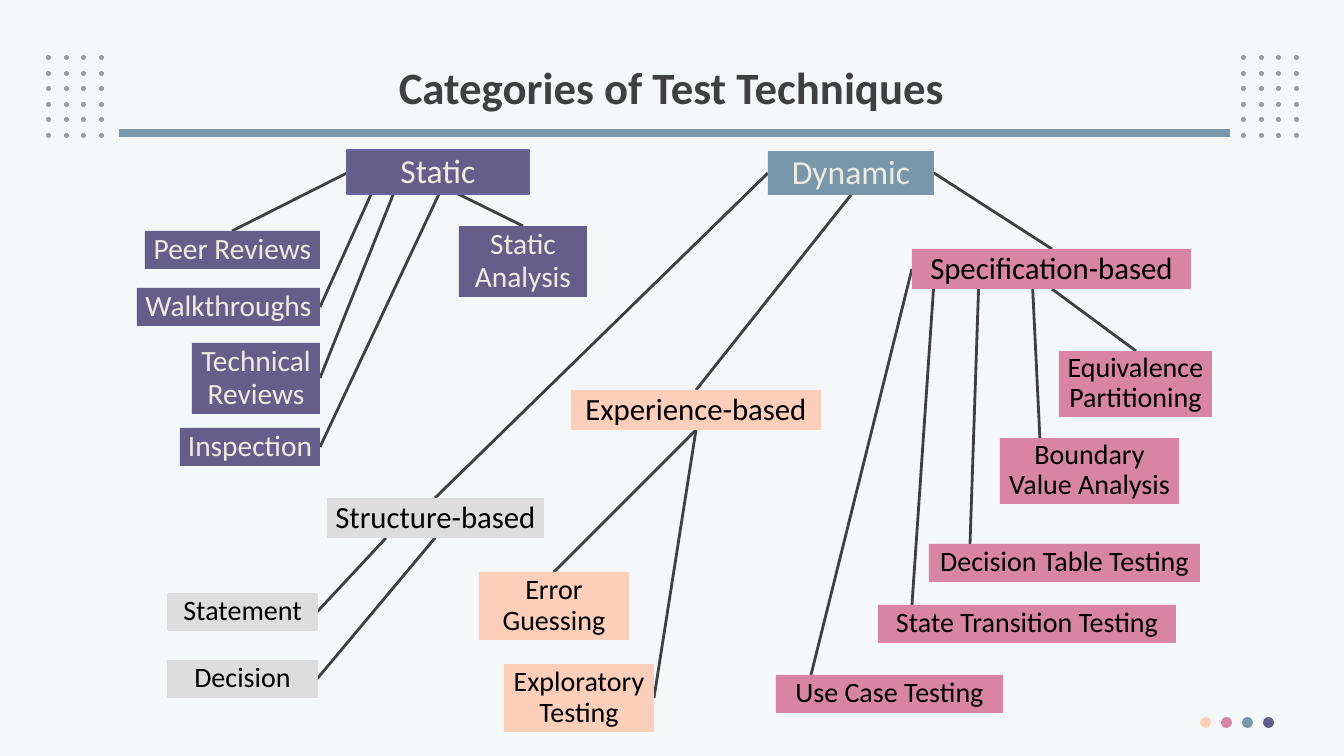
from dataclasses import dataclass

from lxml.etree import SubElement
from pptx import Presentation
from pptx.dml.color import RGBColor
from pptx.enum.shapes import MSO_CONNECTOR, MSO_SHAPE
from pptx.enum.text import MSO_ANCHOR, PP_ALIGN
from pptx.oxml.ns import qn
from pptx.util import Pt

SLIDE_W, SLIDE_H = 1344, 756
SCALE = 12192000 / SLIDE_W  # EMU per px


@dataclass(frozen=True)
class Theme:
    font: str = "Calibri"
    background: str = "F5F8F9"
    dark: str = "404040"
    dot: str = "9D9D9D"
    black: str = "000000"
    cream: str = "EEECE1"
    purple: str = "655D8A"
    purple_edge: str = "666699"
    blue: str = "7897AB"
    pink: str = "D885A3"
    peach: str = "FDCEB9"
    grey: str = "DDDDDD"
    title: int = 32
    root: int = 24
    branch: int = 22
    static_leaf: int = 21
    leaf: int = 20
    line: float = 2
    rule: float = 5.25


T = Theme()

ROOT = dict(size=T.root, color=T.cream, spacing=0.94)
BRANCH = dict(size=T.branch, spacing=0.94)
STATIC_LEAF = dict(fill=T.purple, size=T.static_leaf, color=T.cream, spacing=0.92)
STRUCTURE_LEAF = dict(fill=T.grey, edge=T.grey, size=T.leaf, spacing=0.88)
EXPERIENCE_LEAF = dict(fill=T.peach, size=T.leaf, spacing=0.92)
SPEC_PAIR = dict(fill=T.pink, size=T.leaf, spacing=0.88)
SPEC_LEAF = dict(SPEC_PAIR, inset=4)

# text, (left, top, width, height), format
BOXES = [
    ("Static", (347, 150, 182, 44), dict(ROOT, fill=T.purple, edge=T.purple_edge)),
    ("Peer Reviews", (145, 231, 175, 38), STATIC_LEAF),
    ("Walkthroughs", (137, 288, 183, 38), STATIC_LEAF),
    ("Technical Reviews", (192, 343, 128, 71), dict(STATIC_LEAF, wrap=True)),
    ("Inspection", (180, 428, 140, 38), STATIC_LEAF),
    ("Static Analysis", (459, 226, 128, 71), dict(STATIC_LEAF, wrap=True)),
    ("Dynamic", (768, 151, 166, 44), dict(ROOT, fill=T.blue)),
    ("Structure-based", (327, 498, 217, 40), dict(BRANCH, fill=T.grey)),
    ("Statement", (168, 594, 149, 36), STRUCTURE_LEAF),
    ("Decision", (168, 661, 149, 36), STRUCTURE_LEAF),
    ("Experience-based", (571, 390, 250, 40), dict(BRANCH, fill=T.peach, spacing=0.92)),
    ("Error Guessing", (479, 572, 150, 68), dict(EXPERIENCE_LEAF, wrap=True)),
    ("Exploratory Testing", (504, 664, 150, 68), dict(EXPERIENCE_LEAF, wrap=True)),
    ("Specification-based", (912, 249, 279, 40), dict(BRANCH, fill=T.pink)),
    ("Equivalence\nPartitioning", (1059, 351, 153, 66), SPEC_PAIR),
    ("Boundary\nValue Analysis", (1000, 438, 179, 66), SPEC_PAIR),
    ("Decision Table Testing", (929, 544, 271, 38), SPEC_LEAF),
    ("State Transition Testing", (878, 605, 298, 38), SPEC_LEAF),
    ("Use Case Testing", (776, 675, 227, 38), SPEC_LEAF),
]

# parent end, child end
BRANCHES = [
    # Static
    ((347, 173), (232, 231)),
    ((373, 190), (320, 307)),
    ((395, 190), (320, 378)),
    ((439, 194), (320, 447)),
    ((452, 191), (523, 226)),
    # Dynamic
    ((768, 173), (435, 498)),
    ((851, 195), (696, 390)),
    ((934, 173), (1052, 249)),
    # Structure-based
    ((386, 538), (317, 612)),
    ((435, 538), (317, 679)),
    # Experience-based
    ((696, 430), (554, 572)),
    ((696, 430), (654, 698)),
    # Specification-based
    ((1052, 289), (1136, 351)),
    ((1032, 274), (1040, 440)),
    ((979, 276), (970, 545)),
    ((934, 282), (912, 605)),
    ((912, 269), (810, 679)),
]


def px(n):
    return round(n * SCALE)


def rgb(color):
    return RGBColor.from_string(color)


def add_text(tf, text, size, color=T.black, bold=False, spacing=0.9, wrap=False):
    """Fill a frame with centred text, one paragraph to each line."""
    tf.word_wrap = wrap
    for i, line in enumerate(text.split("\n")):
        p = tf.add_paragraph() if i else tf.paragraphs[0]
        p.alignment = PP_ALIGN.CENTER
        p.line_spacing = spacing
        r = p.add_run()
        r.text = line
        r.font.name, r.font.size, r.font.bold = T.font, Pt(size), bold
        r.font.color.rgb = rgb(color)


def add_shape(shapes, kind, box, fill, edge=None):
    sp = shapes.add_shape(kind, *map(px, box))
    sp.shadow.inherit = False
    sp.fill.solid()
    sp.fill.fore_color.rgb = rgb(fill)
    if edge:
        sp.line.color.rgb = rgb(edge)
        sp.line.width = Pt(T.line)
    else:
        sp.line.fill.background()
    return sp


def add_box(s, text, box, fill, edge=None, inset=3, **text_format):
    tf = add_shape(s.shapes, MSO_SHAPE.RECTANGLE, box, fill, edge).text_frame
    tf.margin_left = tf.margin_right = px(7)
    tf.margin_top = tf.margin_bottom = px(inset)
    tf.vertical_anchor = MSO_ANCHOR.TOP
    add_text(tf, text, **text_format)


def add_line(s, start, end, color=T.dark, width=T.line):
    line = s.shapes.add_connector(MSO_CONNECTOR.STRAIGHT, *map(px, (*start, *end)))
    line.line.color.rgb = rgb(color)
    line.line.width = Pt(width)
    SubElement(line._element.spPr, qn("a:effectLst"))


def add_dot_grid(s, left, top, cols=4, rows=6):
    grid = s.shapes.add_group_shape()
    for row in range(rows):
        for col in range(cols):
            x, y = left + round(17.6 * col), top + round(15.6 * row)
            add_shape(grid.shapes, MSO_SHAPE.OVAL, (x, y, 5, 5), T.dot)


def add_color_dots(s, left, top):
    dots = s.shapes.add_group_shape()
    for i, color in enumerate((T.peach, T.pink, T.blue, T.purple)):
        add_shape(dots.shapes, MSO_SHAPE.OVAL, (left + 21 * i, top, 11, 11), color)


def add_title(s, text, box):
    tf = s.shapes.add_textbox(*map(px, box)).text_frame
    tf.vertical_anchor = MSO_ANCHOR.MIDDLE
    add_text(tf, text, T.title, T.dark, bold=True, wrap=True)


def main():
    prs = Presentation()
    prs.slide_width, prs.slide_height = px(SLIDE_W), px(SLIDE_H)
    s = prs.slides.add_slide(prs.slide_layouts[6])
    s.background.fill.solid()
    s.background.fill.fore_color.rgb = rgb(T.background)

    for left in (46, 1241):
        add_dot_grid(s, left, 55)
    add_line(s, (119, 133), (1230, 133), T.blue, T.rule)
    add_color_dots(s, 1200, 717)
    add_title(s, "Categories of Test Techniques", (201, 40, 941, 99))
    for parent, child in BRANCHES:
        add_line(s, parent, child)
    for text, box, style in BOXES:
        add_box(s, text, box, **style)
    prs.save("out.pptx")


if __name__ == "__main__":
    main()
